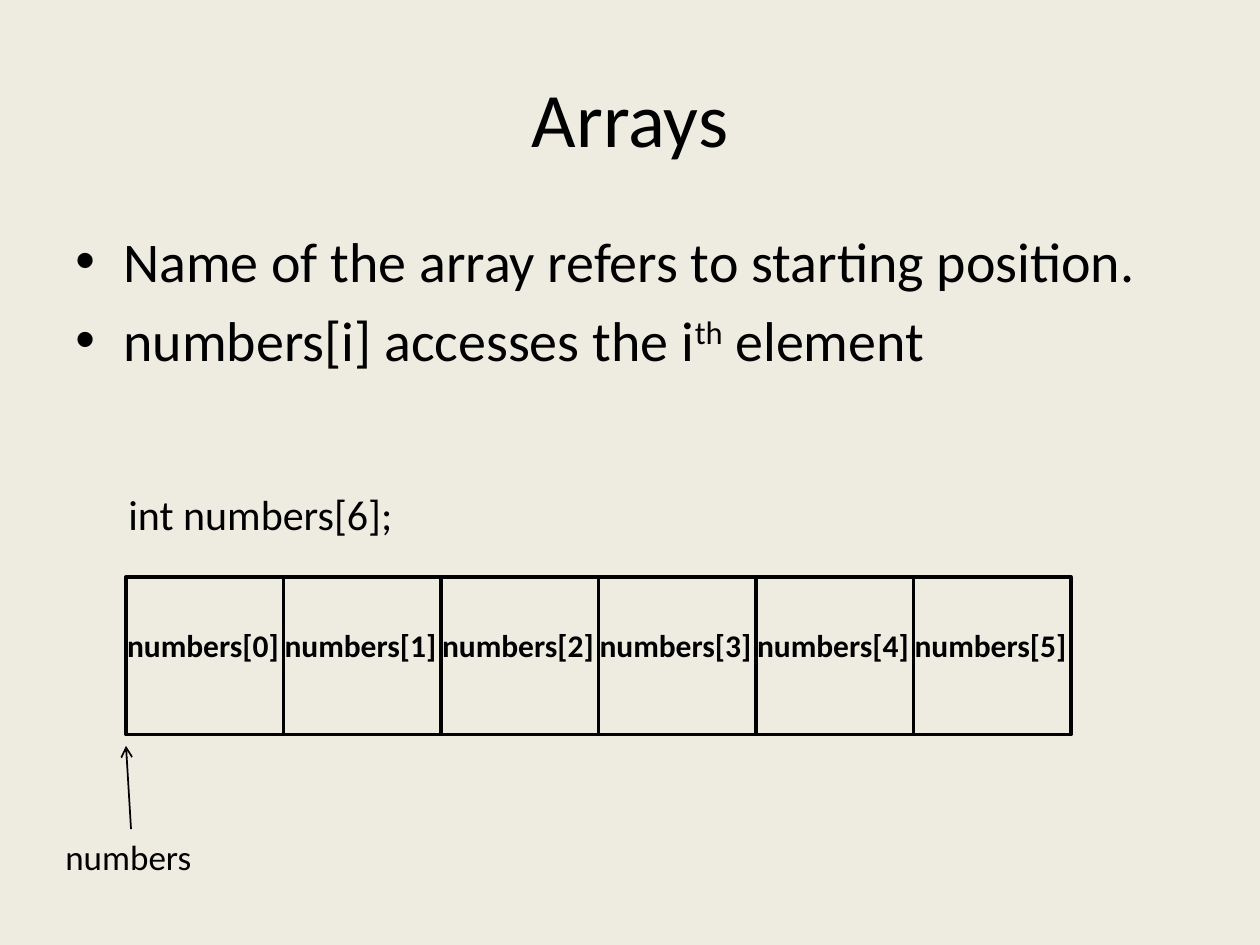
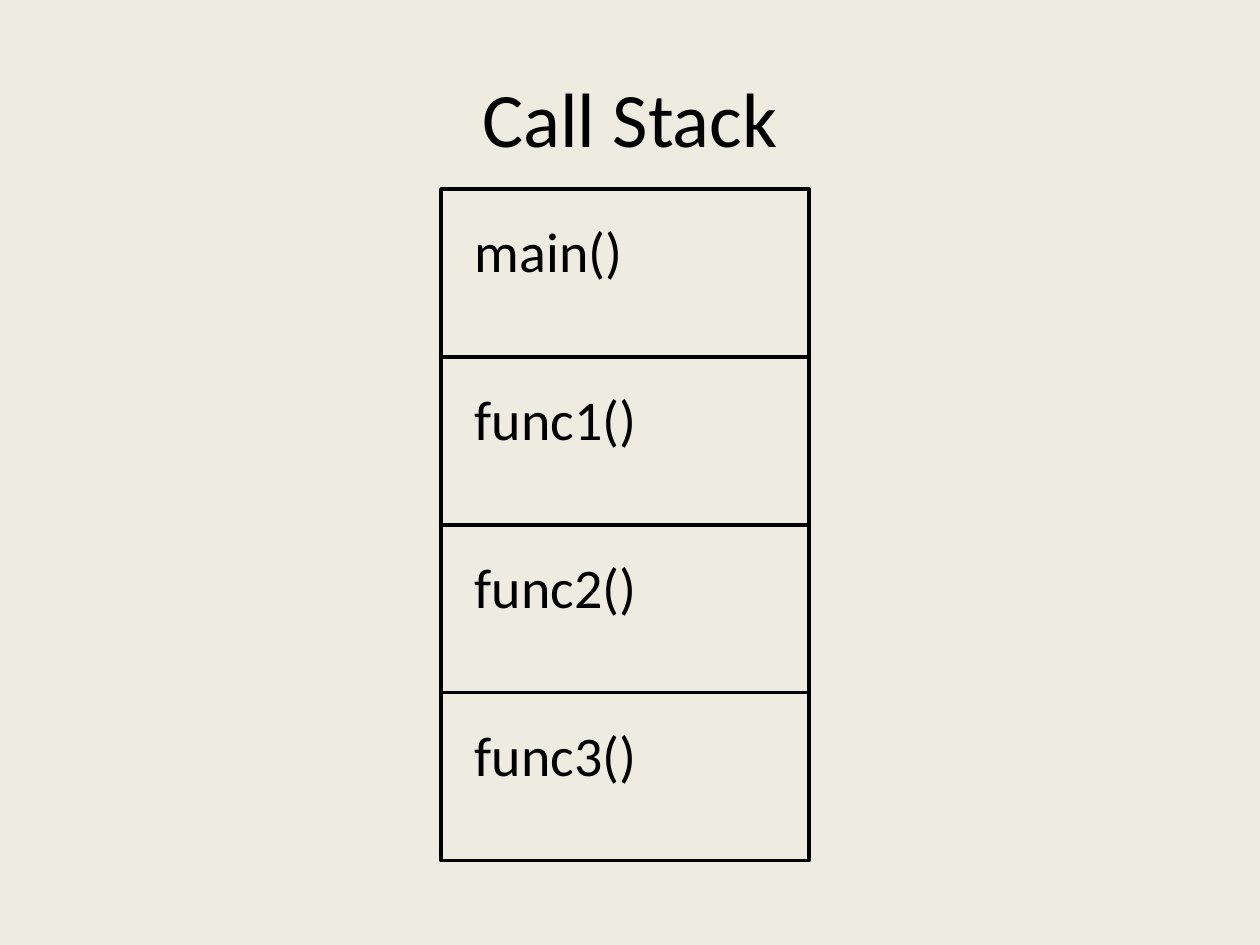
import pptx
import pptx.util
import pptx.dml.color
import pptx.enum.shapes
import pptx.enum.text
import pptx.oxml.ns
import pptx.oxml.xmlchemy

Inches = pptx.util.Inches
Pt = pptx.util.Pt

FONT = "Calibri"
INK = "000000"
PAPER = "EEECE1"
TITLE_BOX = (0.5, 0.3, 9, 1.25)


def color(value):
    return pptx.dml.color.RGBColor.from_string(value)


def style(para, size, bold=False):
    para.font.name = FONT
    para.font.size = Pt(size)
    para.font.bold = bold
    para.font.color.rgb = color(INK)


def make_element(tag, **attributes):
    element = pptx.oxml.xmlchemy.OxmlElement(tag)
    for name, value in attributes.items():
        element.set(name, value)
    return element


def add_page(deck, title):
    page = deck.slides.add_slide(deck.slide_layouts[5])
    heading = page.shapes.title
    left, top, width, height = TITLE_BOX
    heading.left, heading.top = Inches(left), Inches(top)
    heading.width, heading.height = Inches(width), Inches(height)
    heading.text_frame.text = title
    heading.text_frame.vertical_anchor = pptx.enum.text.MSO_ANCHOR.MIDDLE
    para = heading.text_frame.paragraphs[0]
    para.alignment = pptx.enum.text.PP_ALIGN.CENTER
    style(para, 44)
    return page


def add_text(page, box, text, size, bold=False, wrap=True):
    frame = page.shapes.add_textbox(*map(Inches, box)).text_frame
    frame.word_wrap = wrap
    frame.auto_size = pptx.enum.text.MSO_AUTO_SIZE.SHAPE_TO_FIT_TEXT
    frame.text = text
    style(frame.paragraphs[0], size, bold)


def add_cell(page, box):
    cell = page.shapes.add_shape(
        pptx.enum.shapes.MSO_SHAPE.RECTANGLE, *map(Inches, box))
    cell.shadow.inherit = False
    cell.fill.background()
    cell.line.color.rgb = color(INK)
    cell.line.width = Pt(2)


def add_arrow(page, start, end):
    arrow = page.shapes.add_connector(
        pptx.enum.shapes.MSO_CONNECTOR.STRAIGHT,
        *map(Inches, start + end))
    arrow.line.color.rgb = color(INK)
    arrow.line.width = Pt(1)
    properties = arrow._element.spPr
    outline = properties.find(pptx.oxml.ns.qn("a:ln"))
    outline.append(make_element("a:tailEnd", type="arrow"))
    properties.append(make_element("a:effectLst"))


def add_bullets(page, box, items):
    frame = page.shapes.add_textbox(*map(Inches, box)).text_frame
    frame.word_wrap = True
    for index, pieces in enumerate(items):
        para = frame.add_paragraph() if index else frame.paragraphs[0]
        style(para, 32)
        para.space_before = Pt(6.4)
        properties = para._p.get_or_add_pPr()
        properties.set("marL", str(Inches(0.38)))
        properties.set("indent", str(Inches(-0.38)))
        defaults = properties.find(pptx.oxml.ns.qn("a:defRPr"))
        defaults.addprevious(make_element("a:buFont", typeface="Arial"))
        defaults.addprevious(make_element("a:buChar", char="•"))
        for text, raised in pieces:
            span = para.add_run()
            span.text = text
            if raised:
                span.font._element.set("baseline", "30000")


def add_array(page, box, name, count):
    left, top, width, height = box
    step = width / count
    for index in range(count):
        add_cell(page, (left + index * step, top, step, height))
    add_text(page, (left - 0.08, top - 0.75, 2.32, 0.5),
             f"int {name}[{count}];", 24, wrap=False)
    for index in range(count):
        label = (left + index * step - 0.09, top + 0.34, step + 0.17, 0.4)
        add_text(page, label, f"{name}[{index}]", 18, bold=True, wrap=False)
    pointer_top = top + height + 0.75
    add_text(page, (left - 0.58, pointer_top, 1.25, 0.44), name, 20)
    add_arrow(page, (left + 0.04, pointer_top), (left, pointer_top - 0.66))


def add_stack(page, box, calls):
    left, top, width, height = box
    step = height / len(calls)
    for index, call in enumerate(calls):
        row = top + index * step
        add_cell(page, (left, row, width, step))
        add_text(page, (left + 0.17, row + 0.17, width - 0.34, 0.64), call, 32)


deck = pptx.Presentation()
deck.slide_width, deck.slide_height = Inches(10), Inches(7.5)
deck.slide_master.background.fill.solid()
deck.slide_master.background.fill.fore_color.rgb = color(PAPER)

arrays = add_page(deck, "Arrays")
add_bullets(arrays, (0.5, 1.75, 9, 1.83), [
    [("Name of the array refers to starting position.", False)],
    [("numbers[i] accesses the i", False), ("th", True), (" element", False)],
])
add_array(arrays, (1, 4.58, 7.5, 1.25), "numbers", 6)

call_stack = add_page(deck, "Call Stack")
add_stack(call_stack, (3.5, 1.5, 2.92, 5.33),
          ["main()", "func1()", "func2()", "func3()"])

deck.save("out.pptx")
